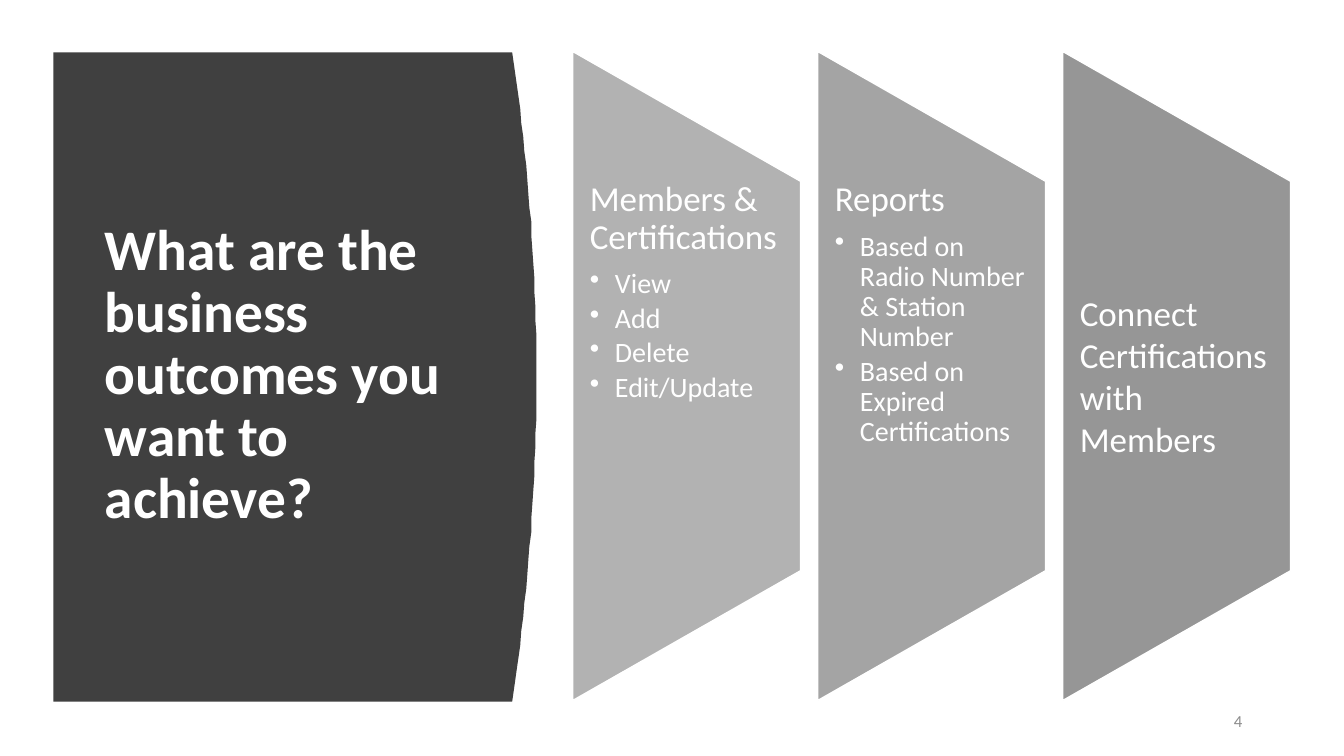
"""Build the business outcomes slide with a curved title panel and three columns."""
from lxml.etree import SubElement
from pptx import Presentation
from pptx.dml.color import RGBColor
from pptx.enum.shapes import MSO_SHAPE
from pptx.enum.text import MSO_ANCHOR, MSO_AUTO_SIZE, PP_ALIGN
from pptx.oxml.ns import qn
from pptx.util import Pt

PX = 9144
HUES = {"panel": "404040", "text": "FFFFFF", "page": "8C8C8C",
        "light": "B2B2B2", "mid": "A4A4A4", "dark": "969696"}


def hue(name):
    return RGBColor.from_string(HUES[name])


def write(frame, text, first=False, size=25, color="text", bold=False,
          align=PP_ALIGN.LEFT, line=0.9, after=0, bullet=False):
    para = frame.paragraphs[0] if first else frame.add_paragraph()
    if bullet:
        para.level = 1
        props = para._p.get_or_add_pPr()
        props.set("marL", str(25 * PX))
        props.set("indent", str(-25 * PX))
        SubElement(props, qn("a:buChar")).set("char", "•")
    para.alignment = align
    para.line_spacing = line
    para.space_before = Pt(0)
    para.space_after = Pt(after)
    run = para.add_run()
    run.text = text
    font = run.font
    font.name, font.size, font.bold = "Calibri", Pt(size), bold
    font.color.rgb = hue(color)


deck = Presentation()
deck.slide_width, deck.slide_height = 1333 * PX, 750 * PX
slide = deck.slides.add_slide(deck.slide_layouts[5])
shapes = slide.shapes

top, base, edge, bulge = 52, 696, 508, 24
mid, half = (top + base) / 2, (base - top) / 2
curve = [(edge + bulge * (1 - ((y - mid) / half) ** 2), y)
         for y in range(top, base + 1, 14)]
pen = shapes.build_freeform(53, top, scale=PX)
pen.add_line_segments(curve + [(edge, base), (53, base)], close=True)
panel = pen.convert_to_shape()
panel.shadow.inherit = False
panel.fill.solid()
panel.fill.fore_color.rgb = hue("panel")
panel.line.fill.background()

title = shapes.title
panel._element.addnext(title._element)
title.left, title.top, title.width, title.height = [n * PX for n in (94, 111, 374, 524)]
frame = title.text_frame
frame.word_wrap = True
frame.auto_size = MSO_AUTO_SIZE.NONE
frame.vertical_anchor = MSO_ANCHOR.MIDDLE
write(frame, "What are the business outcomes you want to achieve?",
      first=True, size=41, bold=True)

page = shapes.add_textbox(1173 * PX, 695 * PX, 69 * PX, 40 * PX).text_frame
page.word_wrap = True
page.vertical_anchor = MSO_ANCHOR.MIDDLE
write(page, "4", first=True, size=12, color="page", align=PP_ALIGN.RIGHT, line=1)

columns = [
    ("light", "Members & Certifications", ["View", "Add", "Delete", "Edit/Update"]),
    ("mid", "Reports", ["Based on Radio Number & Station Number",
                        "Based on Expired Certifications"]),
    ("dark", "Connect Certifications with Members", []),
]
for col, (shade, head, items) in enumerate(columns):
    shift = col * 243
    block = shapes.add_shape(MSO_SHAPE.FLOWCHART_MANUAL_OPERATION,
                             (359 + shift) * PX, 260 * PX, 644 * PX, 226 * PX)
    block.rotation = 270
    block.shadow.inherit = False
    block.fill.solid()
    block.fill.fore_color.rgb = hue(shade)
    block.line.color.rgb = hue("text")
    block.line.width = Pt(1)

    frame = shapes.add_textbox((568 + shift) * PX, 180 * PX, 226 * PX, 386 * PX).text_frame
    frame.word_wrap = True
    frame.margin_left, frame.margin_right = 17 * PX, 18 * PX
    frame.margin_top = frame.margin_bottom = 0
    frame.vertical_anchor = MSO_ANCHOR.TOP if items else MSO_ANCHOR.MIDDLE
    write(frame, head, first=True, line=0.9 if items else 1, after=9)
    for item in items:
        write(frame, item, size=20, after=3, bullet=True)

deck.save("out.pptx")
